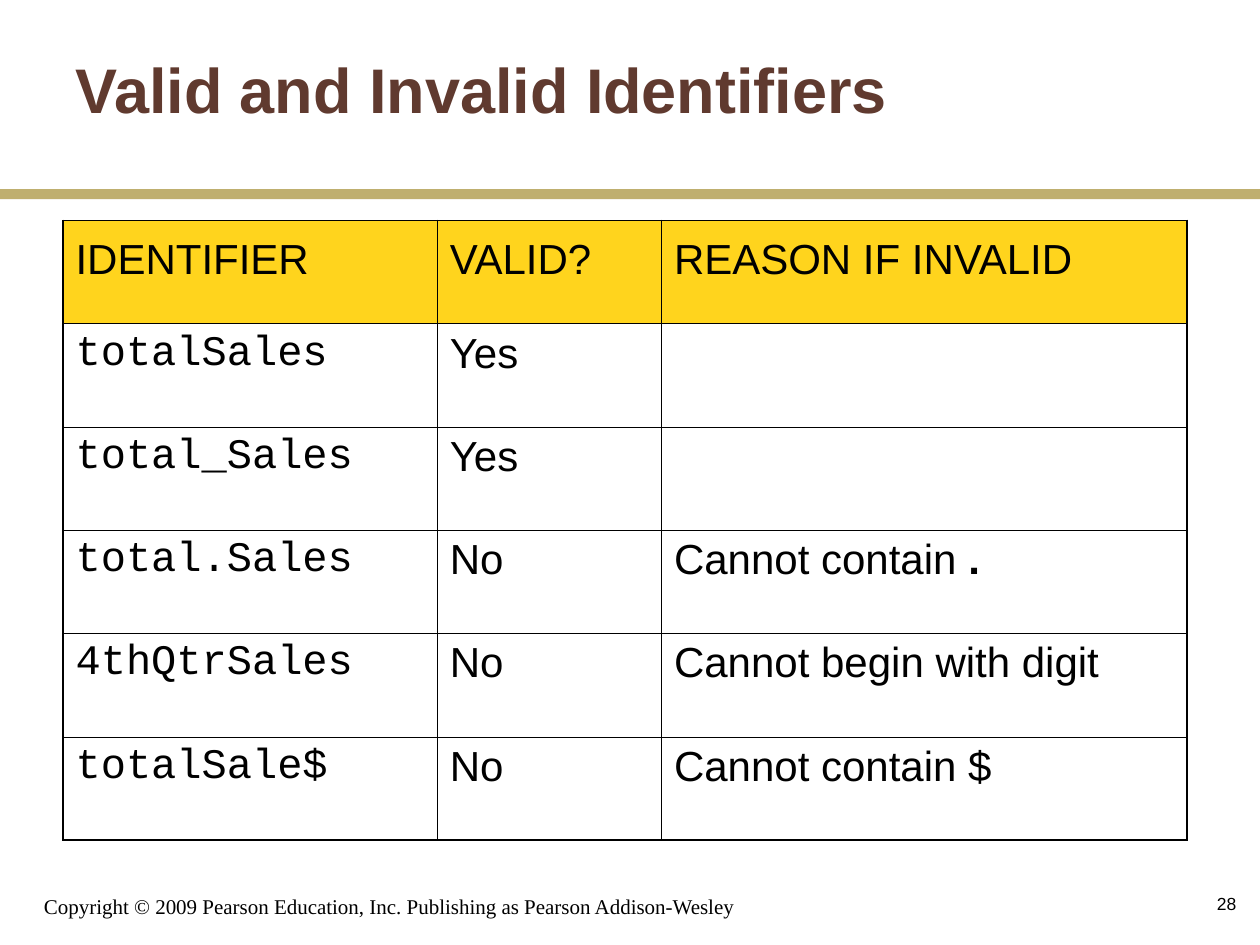
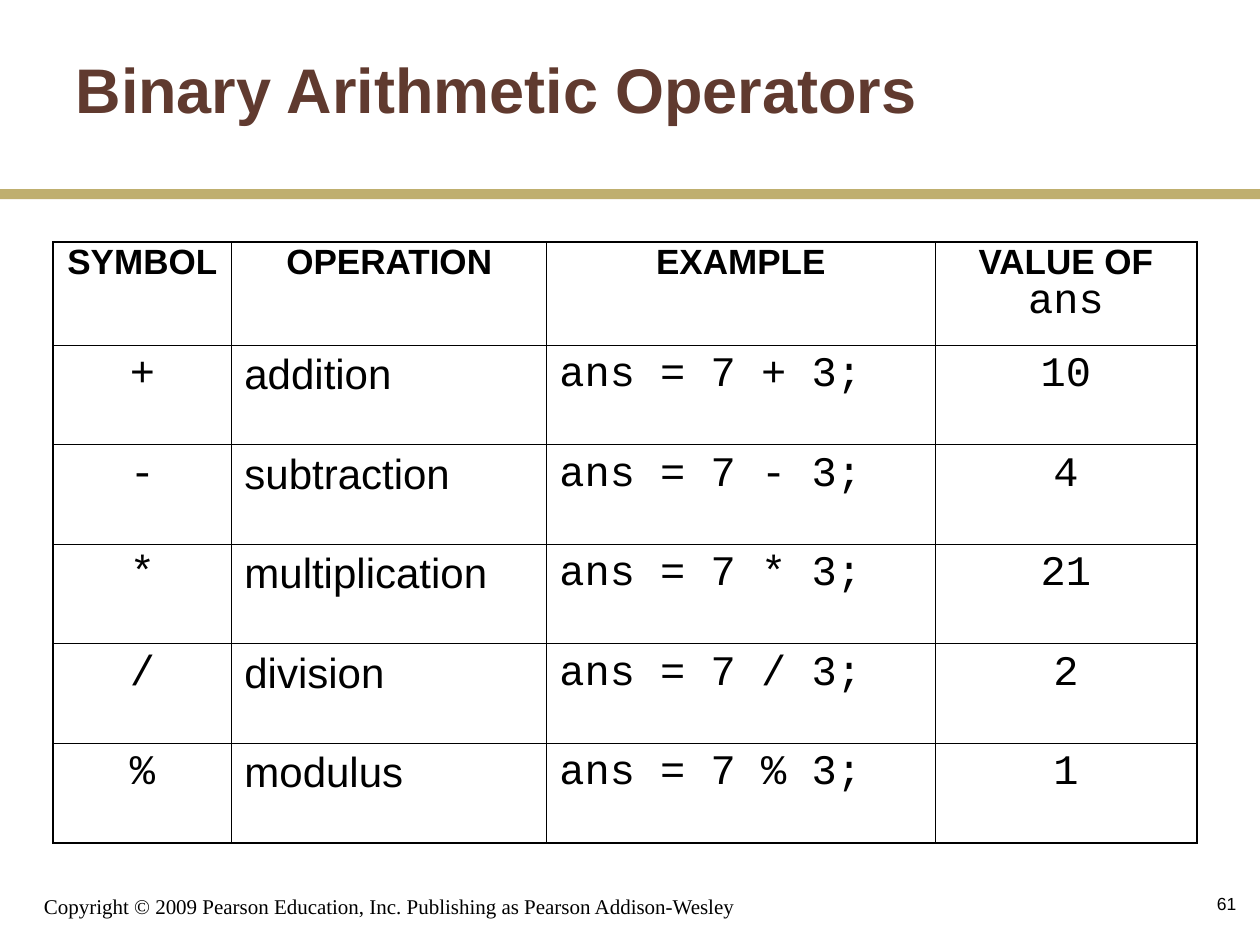
from dataclasses import dataclass

from pptx import Presentation
from pptx.dml.color import RGBColor
from pptx.enum.shapes import MSO_SHAPE
from pptx.enum.text import MSO_ANCHOR, PP_ALIGN
from pptx.oxml import parse_xml
from pptx.oxml.ns import nsdecls
from pptx.util import Inches, Pt

LEFT, CENTER, RIGHT = PP_ALIGN.LEFT, PP_ALIGN.CENTER, PP_ALIGN.RIGHT
MIDDLE, BOTTOM = MSO_ANCHOR.MIDDLE, MSO_ANCHOR.BOTTOM
RECTANGLE = MSO_SHAPE.RECTANGLE
TITLE_ONLY = 5

BLACK, BROWN, GOLD, YELLOW = "000000", "603A2F", "BFAF6F", "FFD41D"
SANS, MONO, SERIF = "Arial", "Courier New", "Times New Roman"
OUTER_LINE, INNER_LINE = 1.08, 0.45

TITLE_BOX = (0.5, 0.08, 8.33, 1.25)
BAND_BOX = (0, 1.5, 10, 0.08)
COPYRIGHT_BOX = (0.25, 6.92, 6.08, 0.42)
NUMBER_BOX = (7.83, 6.92, 2.08, 0.5)
COPYRIGHT = "Copyright © 2009 Pearson Education, Inc. Publishing as Pearson Addison-Wesley"


@dataclass
class Style:
    font: str = SANS
    size: float = 24
    bold: bool = False
    color: str = BLACK


@dataclass
class Column:
    heading: list
    width: float
    style: Style
    align: int = LEFT


PLAIN, CODE = Style(), Style(MONO)
STRONG, LABEL = Style(bold=True), Style(size=20, bold=True)
TITLE = Style(size=36, bold=True, color=BROWN)


def rgb(value):
    return RGBColor.from_string(value)


def inches(box):
    return [Inches(length) for length in box]


def write(paragraph, runs, align=LEFT, spacing=None):
    """Fill a paragraph from (text, Style) pairs."""
    paragraph.alignment = align
    if spacing:
        paragraph.line_spacing = spacing
    for text, style in runs:
        run = paragraph.add_run()
        run.text = text
        run.font.name = style.font
        run.font.size = Pt(style.size)
        run.font.bold = style.bold
        run.font.color.rgb = rgb(style.color)


def set_margins(frame):
    frame.margin_left = frame.margin_right = Inches(0.1)
    frame.margin_top = frame.margin_bottom = Inches(0.05)


def fill_frame(frame, text, style, anchor, align=LEFT):
    set_margins(frame)
    frame.word_wrap = True
    frame.vertical_anchor = anchor
    write(frame.paragraphs[0], [(text, style)], align)


def add_band(slide, box):
    band = slide.shapes.add_shape(RECTANGLE, *inches(box))
    band.shadow.inherit = False
    band.fill.solid()
    band.fill.fore_color.rgb = rgb(GOLD)
    band.line.fill.background()


def add_text(slide, box, text, style, anchor, align=LEFT):
    frame = slide.shapes.add_textbox(*inches(box)).text_frame
    fill_frame(frame, text, style, anchor, align)


def add_framed_slide(prs, title, number):
    """Add a slide with its title, band, copyright line and page number."""
    slide = prs.slides.add_slide(prs.slide_layouts[TITLE_ONLY])
    heading = slide.shapes.title
    heading.left, heading.top, heading.width, heading.height = inches(TITLE_BOX)
    fill_frame(heading.text_frame, title, TITLE, MIDDLE)
    add_band(slide, BAND_BOX)
    add_text(slide, COPYRIGHT_BOX, COPYRIGHT, Style(SERIF, 12), BOTTOM)
    add_text(slide, NUMBER_BOX, str(number), Style(size=10), MIDDLE, RIGHT)
    return slide


def set_borders(cell, outer_sides):
    properties = cell._tc.get_or_add_tcPr()
    for side in "LRTB":
        width = Pt(OUTER_LINE if side in outer_sides else INNER_LINE)
        properties.append(parse_xml(
            f'<a:ln{side} {nsdecls("a")} w="{int(width)}"><a:solidFill>'
            f'<a:srgbClr val="{BLACK}"/></a:solidFill></a:ln{side}>'))


def add_grid(slide, corner, columns, records, row_heights,
             header_align=LEFT, header_spacing=None, header_fill=None):
    """Place a ruled table; a cell is a string or a list of (text, Style) pairs."""
    box = (*corner, sum(column.width for column in columns), sum(row_heights))
    row_count, column_count = len(records) + 1, len(columns)
    table = slide.shapes.add_table(row_count, column_count, *inches(box)).table
    table.first_row = table.horz_banding = False
    for row, height in zip(table.rows, row_heights):
        row.height = Inches(height)
    for c, column in enumerate(columns):
        table.columns[c].width = Inches(column.width)
        entries = [column.heading] + [record[c] for record in records]
        for r, entry in enumerate(entries):
            cell = table.cell(r, c)
            set_margins(cell)
            at_edge = {"L": c == 0, "R": c == column_count - 1,
                       "T": r == 0, "B": r == row_count - 1}
            set_borders(cell, [side for side, edge in at_edge.items() if edge])
            is_header = r == 0
            if is_header and header_fill:
                cell.fill.solid()
                cell.fill.fore_color.rgb = rgb(header_fill)
            else:
                cell.fill.background()
            if not entry:
                continue
            runs = [(entry, column.style)] if isinstance(entry, str) else entry
            write(cell.text_frame.paragraphs[0], runs,
                  header_align if is_header else column.align,
                  header_spacing if is_header else None)


def add_identifiers_slide(prs):
    slide = add_framed_slide(prs, "Valid and Invalid Identifiers", 28)
    columns = [
        Column([("IDENTIFIER", PLAIN)], 2.97, CODE),
        Column([("VALID?", PLAIN)], 1.78, PLAIN),
        Column([("REASON IF INVALID", PLAIN)], 4.17, PLAIN),
    ]
    records = [
        ("totalSales", "Yes", ""),
        ("total_Sales", "Yes", ""),
        ("total.Sales", "No", [("Cannot contain ", PLAIN), (".", STRONG)]),
        ("4thQtrSales", "No", "Cannot begin with digit"),
        ("totalSale$", "No", "Cannot contain $"),
    ]
    add_grid(slide, (0.5, 1.75), columns, records, [0.82] * 6,
             header_spacing=1.2, header_fill=YELLOW)


def add_operators_slide(prs):
    slide = add_framed_slide(prs, "Binary Arithmetic Operators", 61)
    columns = [
        Column([("SYMBOL", LABEL)], 1.42, CODE, CENTER),
        Column([("OPERATION", LABEL)], 2.5, PLAIN),
        Column([("EXAMPLE", LABEL)], 3.08, CODE),
        Column([("VALUE OF ", LABEL), ("ans", CODE)], 2.08, CODE, CENTER),
    ]
    operations = [
        ("+", "addition", "10"),
        ("-", "subtraction", "4"),
        ("*", "multiplication", "21"),
        ("/", "division", "2"),
        ("%", "modulus", "1"),
    ]
    records = [(symbol, name, f"ans = 7 {symbol} 3;", value)
               for symbol, name, value in operations]
    add_grid(slide, (0.42, 1.92), columns, records, [0.82] + [0.79] * 5,
             header_align=CENTER, header_spacing=0.85)


def main():
    prs = Presentation()
    prs.slide_width, prs.slide_height = Inches(10), Inches(7.5)
    add_identifiers_slide(prs)
    add_operators_slide(prs)
    prs.save("out.pptx")


if __name__ == "__main__":
    main()
